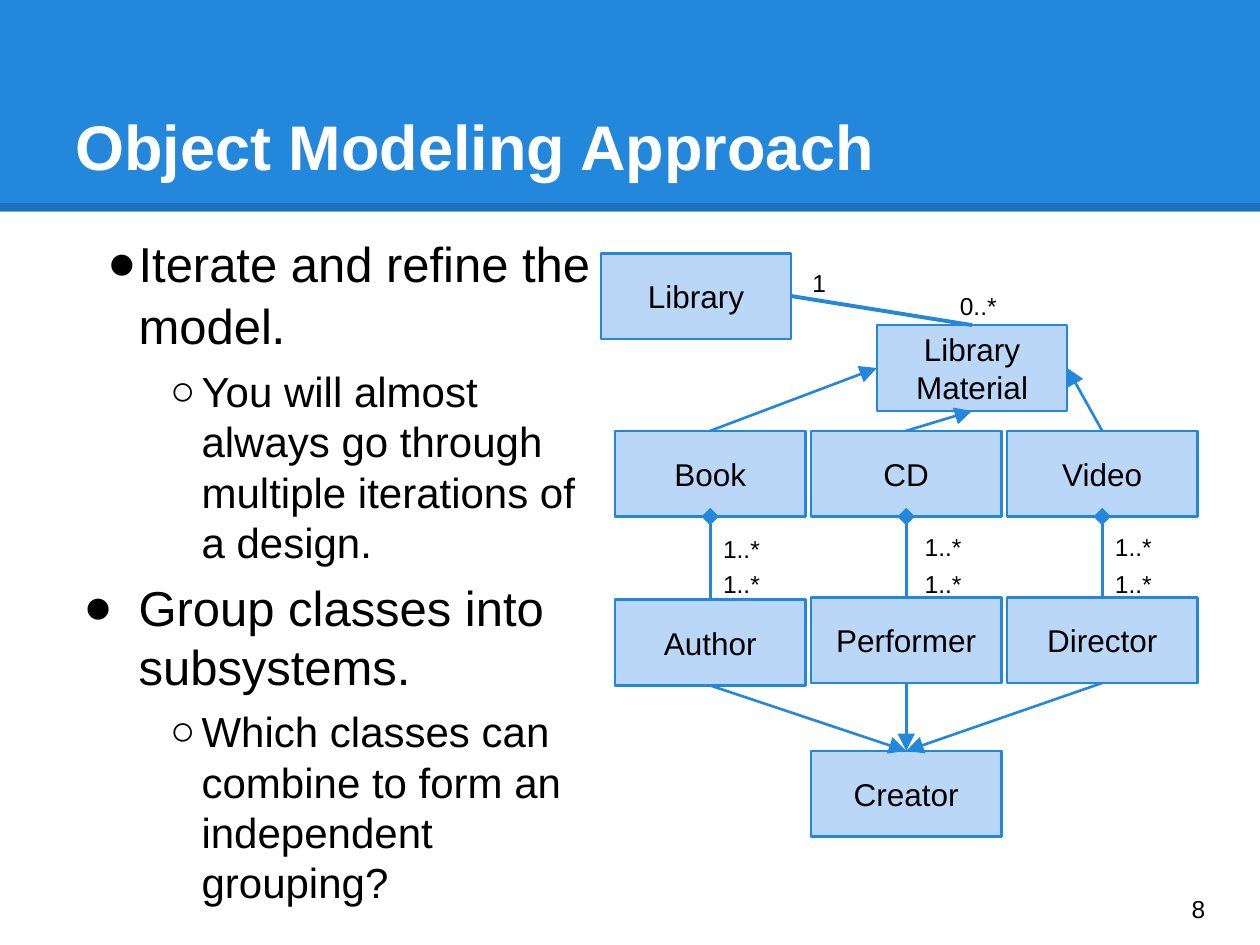
from lxml import etree
from pptx import Presentation
from pptx.dml.color import RGBColor
from pptx.enum import shapes, text
from pptx.oxml import ns
from pptx.util import Pt

THEME = {
    "font": "Arial",
    "ink": RGBColor(0, 0, 0),
    "paper": RGBColor(255, 255, 255),
    "blue": RGBColor(0x23, 0x88, 0xDB),
    "pale": RGBColor(0xBB, 0xD7, 0xF8),
    "title": 36, "box": 18, "label": 14,
}

TITLE = "Object Modeling Approach"
# level, hanging indent, runs of (words, size)
POINTS = [
    (0, 18, [("Iterate and refine the model", 28), (".", 30)]),
    (1, 18, [("You will almost always go through multiple iterations of a design.", 24)]),
    (0, 31.5, [("Group classes into subsystems.", 28)]),
    (1, 18, [("Which classes can combine to form an independent grouping?", 24)]),
]
BULLETS = ["●", "○"]
PAGE_NUMBER = "8"

BOX_W, BOX_H = 108.7, 49
COLUMNS = [351.5 + 112 * i for i in range(3)]
MEDIA_Y, MAKER_Y, CREATOR_Y = 246.2, 341.3, 429.1
MEDIA = ["Book", "CD", "Video"]
MAKERS = ["Author", "Performer", "Director"]
CLASSES = {"Library": (343.4, 144.7), "Library Material": (501.1, 185.8)}
CLASSES |= {name: (x, MEDIA_Y) for name, x in zip(MEDIA, COLUMNS)}
CLASSES |= {name: (x, MAKER_Y) for name, x in zip(MAKERS, COLUMNS)}
CLASSES["Author"] = (COLUMNS[0], 342.7)
CLASSES["Creator"] = (COLUMNS[1], CREATOR_Y)

TOP, LEFT, BOTTOM, RIGHT = range(4)
# from, side, to, side, arrowhead, width
RELATIONS = [("Library Material", TOP, "Library", RIGHT, None, 2.25)]
RELATIONS += [(name, TOP, "Library Material", side, "triangle", 1.5)
              for name, side in zip(MEDIA, (LEFT, BOTTOM, RIGHT))]
RELATIONS += [(name, BOTTOM, "Creator", TOP, "triangle", 1.5) for name in MAKERS]
RELATIONS += [(maker, TOP, medium, BOTTOM, "diamond", 1.5)
              for maker, medium in zip(MAKERS, MEDIA)]

# words, left, top, width
MULTIPLICITIES = [("1", 457.2, 146.2, 23.8), ("0..*", 541.4, 159.1, 44.6)]
for left, upper in [(406.1, 298.1), (521.3, 296.6), (630, 296.6)]:
    MULTIPLICITIES += [("1..*", left, top, 44.6) for top in (upper, 318.2)]


def points(*lengths):
    return [Pt(length) for length in lengths]


def add_run(paragraph, words, size, color="ink", bold=False):
    run = paragraph.add_run()
    run.text = words
    style = {"name": THEME["font"], "size": Pt(size), "bold": bold}
    for key, value in style.items():
        setattr(run.font, key, value)
    run.font.color.rgb = THEME[color]


def set_frame(frame, anchor=text.MSO_ANCHOR.TOP):
    style = {"word_wrap": True, "auto_size": text.MSO_AUTO_SIZE.NONE,
             "vertical_anchor": anchor}
    style |= {f"margin_{side}": Pt(7.2) for side in ("left", "top", "right", "bottom")}
    for key, value in style.items():
        setattr(frame, key, value)
    return frame.paragraphs[0]


def place(shape, *bounds):
    for key, value in zip(("left", "top", "width", "height"), points(*bounds)):
        setattr(shape, key, value)


def add_rect(slide, bounds, fill):
    rect = slide.shapes.add_shape(shapes.MSO_SHAPE.RECTANGLE, *points(*bounds))
    rect.shadow.inherit = False
    rect.fill.solid()
    rect.fill.fore_color.rgb = THEME[fill]
    return rect


def add_line(slide, color, width, ends=(0, 0, 0, 0)):
    line = slide.shapes.add_connector(shapes.MSO_CONNECTOR.STRAIGHT, *points(*ends))
    line.line.color.rgb = THEME[color]
    line.line.width = Pt(width)
    etree.SubElement(line.element.spPr, ns.qn("a:effectLst"))
    return line


def add_band(slide):
    """Blue title band with a translucent edge, behind everything."""
    band = add_rect(slide, (0, 0, 720, 121), "blue")
    band.line.fill.background()
    edge = add_line(slide, "ink", 4.5, (0, 118.3, 720, 118.3))
    color = edge.element.spPr.find(".//" + ns.qn("a:srgbClr"))
    etree.SubElement(color, ns.qn("a:alpha"), val="15000")
    tree = slide.shapes.element
    for position, part in enumerate((band, edge), start=2):
        tree.insert(position, part.element)


def set_bullet(paragraph, level, hanging):
    properties = paragraph._p.get_or_add_pPr()
    properties.set("marL", str(Pt(36 * (level + 1))))
    properties.set("indent", str(-Pt(hanging)))
    color = etree.SubElement(properties, ns.qn("a:buClr"))
    etree.SubElement(color, ns.qn("a:srgbClr"), val=str(THEME["ink"]))
    etree.SubElement(properties, ns.qn("a:buFont"), typeface=THEME["font"])
    etree.SubElement(properties, ns.qn("a:buChar"), char=BULLETS[level])


def add_points(body):
    paragraph = set_frame(body.text_frame)
    for index, (level, hanging, runs) in enumerate(POINTS):
        if index:
            paragraph = body.text_frame.add_paragraph()
        paragraph.level = level
        paragraph.space_before = Pt(6 if index else 0)
        set_bullet(paragraph, level, hanging)
        for words, size in runs:
            add_run(paragraph, words, size)


def add_class(slide, name, left, top):
    box = add_rect(slide, (left, top, BOX_W, BOX_H), "pale")
    box.line.color.rgb = THEME["blue"]
    box.line.width = Pt(1.5)
    paragraph = set_frame(box.text_frame, text.MSO_ANCHOR.MIDDLE)
    paragraph.alignment = text.PP_ALIGN.CENTER
    add_run(paragraph, name, THEME["box"])
    return box


def add_relation(slide, start, start_side, end, end_side, head, width):
    line = add_line(slide, "blue", width)
    line.begin_connect(start, start_side)
    line.end_connect(end, end_side)
    if head:
        etree.SubElement(line.line._get_or_add_ln(), ns.qn("a:tailEnd"),
                         type=head, w="lg", len="lg")


def add_label(slide, words, bounds, anchor=text.MSO_ANCHOR.TOP):
    label = slide.shapes.add_textbox(*points(*bounds))
    add_run(set_frame(label.text_frame, anchor), words, THEME["label"])


def main():
    deck = Presentation()
    deck.slide_width, deck.slide_height = points(720, 540)
    slide = deck.slides.add_slide(deck.slide_layouts[1])
    slide.background.fill.solid()
    slide.background.fill.fore_color.rgb = THEME["paper"]
    add_band(slide)

    title, body = slide.placeholders
    place(title, 36, 21.6, 648, 90)
    heading = set_frame(title.text_frame, text.MSO_ANCHOR.BOTTOM)
    heading.alignment = text.PP_ALIGN.LEFT
    add_run(heading, TITLE, THEME["title"], "paper", bold=True)
    place(body, 36, 126, 314.6, 391)
    add_points(body)

    boxes = {name: add_class(slide, name, *corner) for name, corner in CLASSES.items()}
    for start, start_side, end, end_side, head, width in RELATIONS:
        add_relation(slide, boxes[start], start_side, boxes[end], end_side, head, width)
    for words, left, top, width in MULTIPLICITIES:
        add_label(slide, words, (left, top, width, 20.2))
    add_label(slide, PAGE_NUMBER, (673.9, 499, 43.2, 41), text.MSO_ANCHOR.MIDDLE)
    deck.save("out.pptx")


if __name__ == "__main__":
    main()
